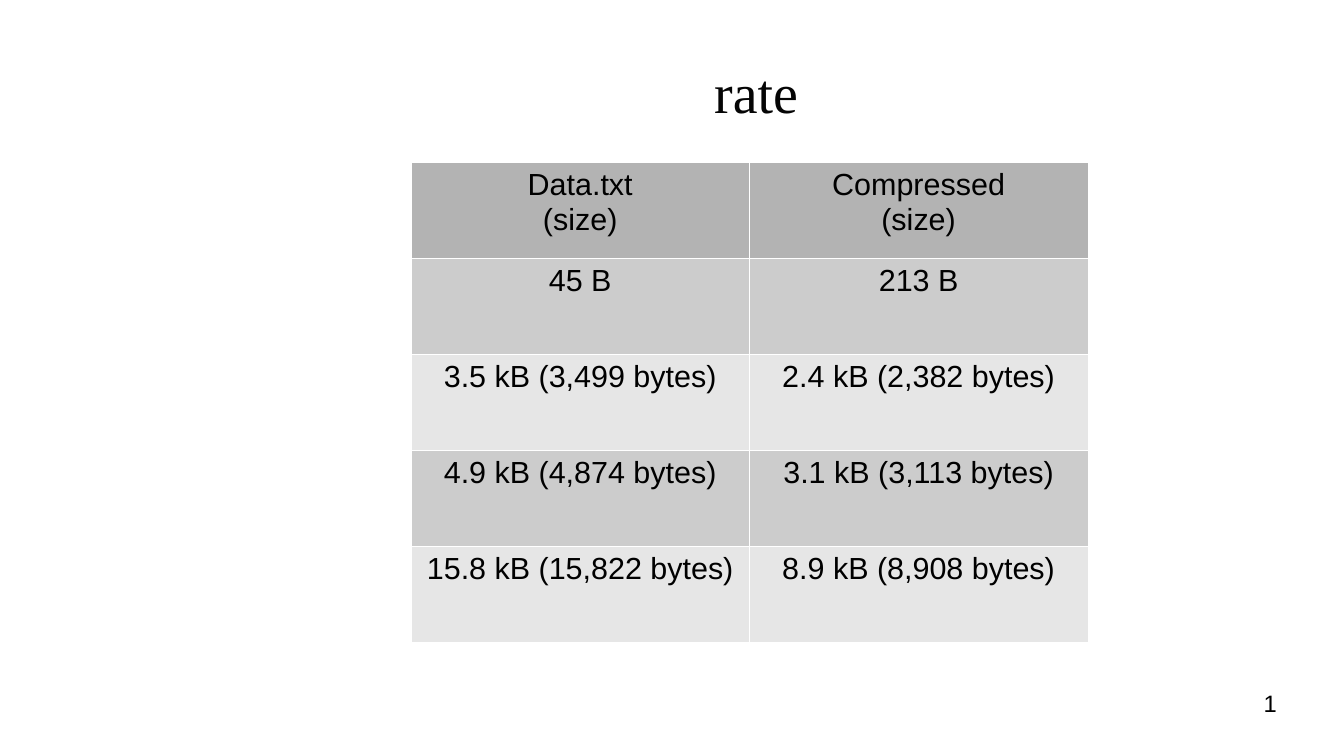
from dataclasses import dataclass

from lxml import etree
from pptx import Presentation
from pptx import util as u
from pptx.dml.color import RGBColor
from pptx.enum import text
from pptx.oxml import ns

WHITE = RGBColor(0xFF, 0xFF, 0xFF)
BLACK = RGBColor(0x00, 0x00, 0x00)
INK = RGBColor(0x05, 0x05, 0x05)
HEAD = RGBColor(0xB3, 0xB3, 0xB3)
BANDS = (RGBColor(0xCC, 0xCC, 0xCC), RGBColor(0xE6, 0xE6, 0xE6))

ROWS = [
    ("Data.txt\n(size)", "Compressed\n(size)"),
    ("45 B", "213 B"),
    ("3.5 kB (3,499 bytes)", "2.4 kB (2,382 bytes)"),
    ("4.9 kB (4,874 bytes)", "3.1 kB (3,113 bytes)"),
    ("15.8 kB (15,822 bytes)", "8.9 kB (8,908 bytes)"),
]
LEFT, TOP, WIDE, HIGH = 242.64, 95.76, 199.8, 56.7
EDGE = u.Pt(0.06)


@dataclass
class Label:
    words: str
    left: float
    top: float
    width: float
    height: float
    size: float
    face: str
    color: RGBColor
    align: text.PP_ALIGN
    anchor: text.MSO_ANCHOR


LABELS = [
    Label("rate", 127.44, 17.28, 637.92, 73.44, 33, "Times New Roman", INK,
          text.PP_ALIGN.CENTER, text.MSO_ANCHOR.MIDDLE),
    Label("1", 568.8, 406.8, 185.04, 30.96, 14, "Arial", BLACK,
          text.PP_ALIGN.RIGHT, text.MSO_ANCHOR.TOP),
]


def apply(item, style: dict) -> None:
    for name, value in style.items():
        setattr(item, name, value)


def write(frame, words: str, size: float, face: str, color: RGBColor,
          align: text.PP_ALIGN) -> None:
    para = frame.paragraphs[0]
    para.text = words
    para.alignment = align
    for run in para.runs:
        apply(run.font, {"size": u.Pt(size), "name": face})
        run.font.color.rgb = color


def draw_label(slide, label: Label) -> None:
    box = slide.shapes.add_textbox(u.Pt(label.left), u.Pt(label.top),
                                   u.Pt(label.width), u.Pt(label.height))
    apply(box.text_frame, {
        "word_wrap": True, "vertical_anchor": label.anchor,
        "margin_left": 0, "margin_right": 0,
        "margin_top": 0, "margin_bottom": 0,
    })
    write(box.text_frame, label.words, label.size, label.face,
          label.color, label.align)


def add_edges(cell) -> None:
    props = cell._tc.get_or_add_tcPr()
    for side in ("a:lnL", "a:lnR", "a:lnT", "a:lnB"):
        line = etree.SubElement(props, ns.qn(side), w=str(EDGE))
        fill = etree.SubElement(line, ns.qn("a:solidFill"))
        etree.SubElement(fill, ns.qn("a:srgbClr"), val=str(WHITE))


def draw_table(slide) -> None:
    count, cols = len(ROWS), len(ROWS[0])
    table = slide.shapes.add_table(
        count, cols, u.Pt(LEFT), u.Pt(TOP),
        u.Pt(WIDE * cols), u.Pt(HIGH * count)).table
    for col in table.columns:
        col.width = u.Pt(WIDE)
    for i, words in enumerate(ROWS):
        table.rows[i].height = u.Pt(HIGH)
        for j, word in enumerate(words):
            cell = table.cell(i, j)
            apply(cell, {
                "margin_left": u.Pt(7.2), "margin_right": u.Pt(7.2),
                "margin_top": u.Pt(3.6), "margin_bottom": u.Pt(3.6),
            })
            write(cell.text_frame, word, 18, "Arial", BLACK,
                  text.PP_ALIGN.CENTER)
            add_edges(cell)
            cell.fill.solid()
            cell.fill.fore_color.rgb = BANDS[(i - 1) % 2] if i else HEAD


def main() -> None:
    deck = Presentation()
    apply(deck, {"slide_width": u.Pt(793.44), "slide_height": u.Pt(446.4)})
    slide = deck.slides.add_slide(deck.slide_layouts[6])

    # Title and page number
    for label in LABELS:
        draw_label(slide, label)

    # Size comparison
    draw_table(slide)
    deck.save("out.pptx")


if __name__ == "__main__":
    main()
